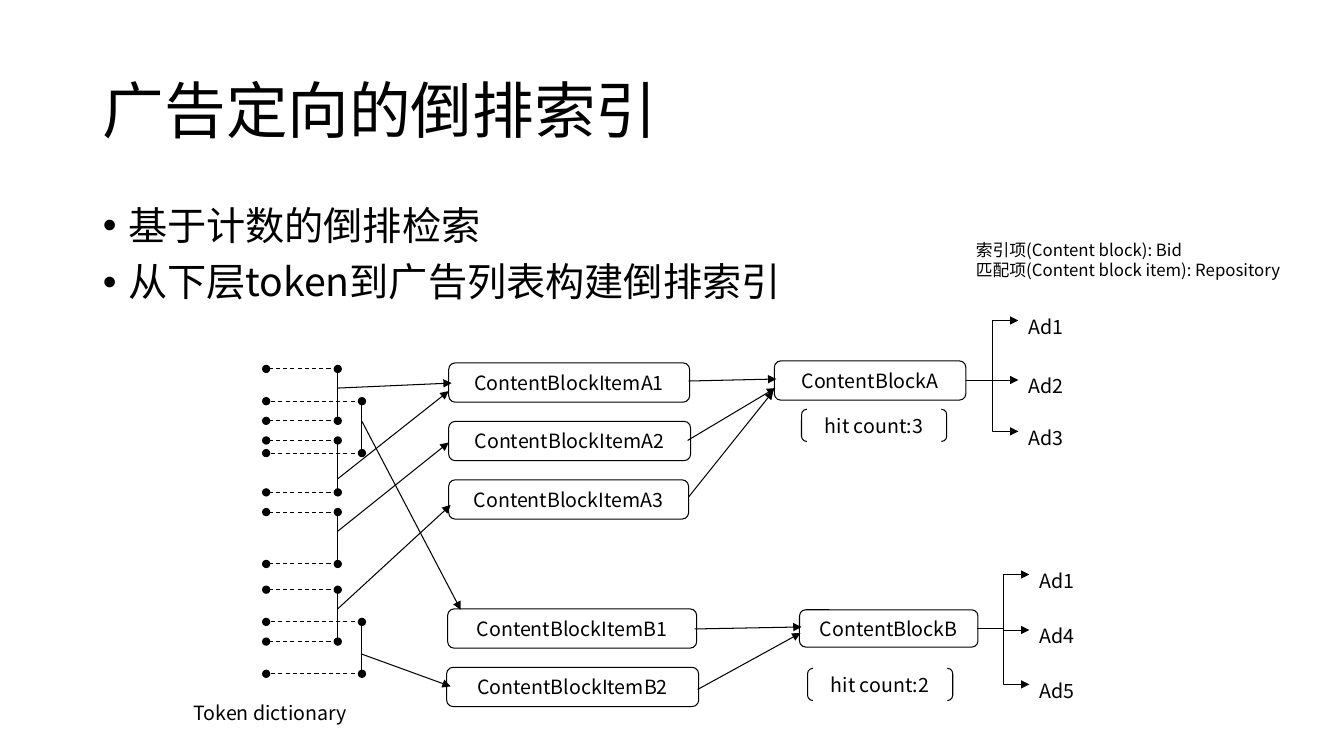
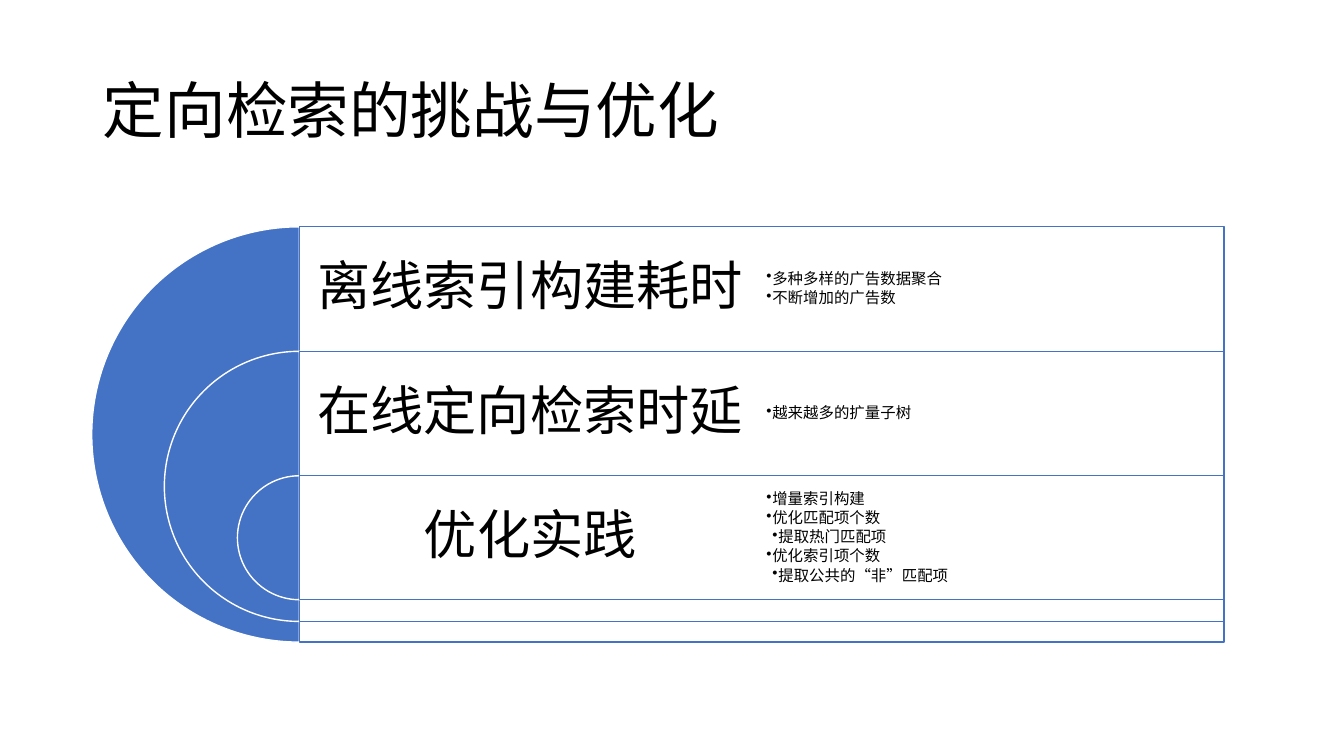
from dataclasses import dataclass
from typing import Any, Optional

from lxml.etree import SubElement
from pptx import Presentation
from pptx.dml.color import RGBColor
from pptx.enum.dml import MSO_LINE_DASH_STYLE as Dash
from pptx.enum.shapes import MSO_CONNECTOR as Connector, MSO_SHAPE as Preset
from pptx.enum.text import MSO_ANCHOR as Anchor, MSO_AUTO_SIZE as AutoSize, PP_ALIGN as Align
from pptx.oxml.ns import qn
from pptx.shapes.autoshape import Shape
from pptx.slide import Slide
from pptx.util import Inches, Pt

# Shared look
COLORS = {"ink": "000000", "paper": "FFFFFF", "accent": "4472C4"}
FONT = "Noto Sans CJK SC"
TITLE_BOX = (0.92, 0.4, 11.5, 1.45)
TITLE_ONLY, TITLE_AND_BODY = 5, 1


@dataclass(frozen=True)
class Line:
    text: str
    level: int = 0


@dataclass(frozen=True)
class TextStyle:
    size: float
    align: Align = Align.LEFT
    spacing: float = 1.0
    before: float = 0
    after: float = 0
    bullet_indent: Optional[float] = None


@dataclass(frozen=True)
class Node:
    text: str
    left: float
    top: float
    width: float
    height: float = 0.39
    preset: Preset = Preset.ROUNDED_RECTANGLE


@dataclass(frozen=True)
class TokenSpan:
    x: float
    top: float
    exit_y: float
    target: tuple[float, float]


@dataclass(frozen=True)
class AdFan:
    start: tuple[float, float]
    ads: dict[str, float]


@dataclass(frozen=True)
class Challenge:
    heading: str
    diameter: float
    details: list[Line]


TITLE = TextStyle(44, spacing=0.9)
BODY = TextStyle(28, spacing=0.9, before=10, bullet_indent=0.25)
LABEL = TextStyle(14)
NODE = TextStyle(14, Align.CENTER)
AD = TextStyle(14, spacing=1.1)
NOTE = TextStyle(12)
HEADING = TextStyle(38, Align.CENTER, 0.9)
DETAIL = TextStyle(11, spacing=0.9, after=1.8, bullet_indent=0.06)

# Index diagram
NODES = [
    Node("ContentBlockA", 7.68, 3.58, 1.9),
    Node("ContentBlockItemA1", 4.45, 3.6, 2.39),
    Node("ContentBlockItemA2", 4.45, 4.18, 2.4),
    Node("ContentBlockItemA3", 4.45, 4.76, 2.38),
    Node("hit count:3", 7.95, 4.06, 1.44, 0.32, Preset.DOUBLE_BRACKET),
    Node("ContentBlockB", 7.93, 6.05, 1.77, 0.37),
    Node("ContentBlockItemB1", 4.44, 6.04, 2.47),
    Node("ContentBlockItemB2", 4.43, 6.62, 2.5),
    Node("hit count:2", 8.01, 6.63, 1.44, 0.32, Preset.DOUBLE_BRACKET),
]
TOKEN_LEFT, TOKEN_HEIGHT = 2.64, 0.515
TOKEN_SPANS = [
    TokenSpan(3.35, 3.66, 3.85, (4.48, 3.8)),
    TokenSpan(3.35, 4.37, 4.75, (4.45, 3.88)),
    TokenSpan(3.59, 3.98, 4.18, (4.57, 6.05)),
    TokenSpan(3.35, 5.08, 5.27, (4.45, 4.39)),
    TokenSpan(3.35, 5.85, 6.04, (4.47, 5.01)),
    TokenSpan(3.59, 6.17, 6.49, (4.47, 6.81)),
]
ITEM_TO_BLOCK = [
    ((6.83, 3.78), (7.7, 3.76)),
    ((6.82, 4.37), (7.69, 3.85)),
    ((6.83, 4.93), (7.67, 3.88)),
    ((6.89, 6.24), (7.95, 6.22)),
    ((6.92, 6.84), (7.94, 6.28)),
]
AD_FANS = [
    AdFan((9.58, 3.77), {"Ad1": 3.18, "Ad2": 3.77, "Ad3": 4.28}),
    AdFan((9.69, 6.23), {"Ad1": 5.7, "Ad4": 6.25, "Ad5": 6.79}),
]
AD_REACH, AD_LABEL_RISE = 0.52, 0.13

# Nested challenges
CHALLENGES = [
    Challenge("离线索引构建耗时", 4.12, [Line("多种多样的广告数据聚合"), Line("不断增加的广告数")]),
    Challenge("在线定向检索时延", 2.68, [Line("越来越多的扩量子树")]),
    Challenge("优化实践", 1.23, [
        Line("增量索引构建"),
        Line("优化匹配项个数"),
        Line("提取热门匹配项", 1),
        Line("优化索引项个数"),
        Line("提取公共的“非”匹配项", 1),
    ]),
]
PANEL_LEFT, PANEL_TOP, PANEL_WIDTH = 2.97, 2.25, 9.17
ROW_PITCH, ROW_HEIGHT = 1.235, 1.23
COLUMN_WIDTH = 4.58


def rgb(name: str) -> RGBColor:
    return RGBColor.from_string(COLORS[name])


def apply_format(target: Any, values: dict[str, Any]) -> None:
    for name, value in values.items():
        setattr(target, name, value)


def place(shape: Any, left: float, top: float, width: float, height: float) -> None:
    box = {"left": left, "top": top, "width": width, "height": height}
    apply_format(shape, {name: Inches(value) for name, value in box.items()})


def write(shape: Any, lines: list[Line], style: TextStyle) -> None:
    """Fill a shape with one styled paragraph per line."""
    frame = shape.text_frame
    for index, line in enumerate(lines):
        paragraph = frame.paragraphs[0] if index == 0 else frame.add_paragraph()
        apply_format(paragraph, {
            "alignment": style.align,
            "line_spacing": style.spacing,
            "space_before": Pt(style.before),
            "space_after": Pt(style.after),
            "level": line.level,
        })
        if style.bullet_indent is not None:
            indent = Inches(style.bullet_indent)
            properties = paragraph._p.get_or_add_pPr()
            properties.set("marL", str(indent * (line.level + 1)))
            properties.set("indent", str(-indent))
            SubElement(properties, qn("a:buChar"), char="•")
        run = paragraph.add_run()
        run.text = line.text
        apply_format(run.font, {"name": FONT, "size": Pt(style.size)})
        run.font.color.rgb = rgb("ink")
        SubElement(run.font._element, qn("a:ea"), typeface=FONT)


def fill_placeholder(shape: Any, box: tuple[float, ...], lines: list[Line],
                     style: TextStyle, anchor: Anchor) -> None:
    place(shape, *box)
    apply_format(shape.text_frame, {"auto_size": AutoSize.NONE, "vertical_anchor": anchor})
    write(shape, lines, style)


def add_titled_slide(presentation: Any, layout: int, title: str) -> Slide:
    slide = presentation.slides.add_slide(presentation.slide_layouts[layout])
    fill_placeholder(slide.shapes.title, TITLE_BOX, [Line(title)], TITLE, Anchor.MIDDLE)
    return slide


def add_text(slide: Slide, box: tuple[float, ...], lines: list[Line], style: TextStyle,
             anchor: Anchor = Anchor.TOP, inset: Optional[float] = None) -> None:
    shape = slide.shapes.add_textbox(*map(Inches, box))
    apply_format(shape.text_frame, {"word_wrap": True, "vertical_anchor": anchor})
    if inset is not None:
        sides = ("left", "top", "right", "bottom")
        apply_format(shape.text_frame, {f"margin_{side}": Inches(inset) for side in sides})
    write(shape, lines, style)


def add_preset(slide: Slide, preset: Preset, box: tuple[float, ...], line: str,
               weight: float, fill: Optional[str] = None) -> Shape:
    shape = slide.shapes.add_shape(preset, *map(Inches, box))
    shape.shadow.inherit = False
    if fill:
        shape.fill.solid()
        shape.fill.fore_color.rgb = rgb(fill)
    else:
        shape.fill.background()
    shape.line.color.rgb = rgb(line)
    shape.line.width = Pt(weight)
    return shape


def add_line(slide: Slide, start: tuple[float, float], end: tuple[float, float],
             head: str = "none", tail: str = "none", dashed: bool = False,
             kind: Connector = Connector.STRAIGHT, weight: float = 0.75) -> None:
    connector = slide.shapes.add_connector(kind, *map(Inches, (*start, *end)))
    connector.line.color.rgb = rgb("ink")
    connector.line.width = Pt(weight)
    if dashed:
        connector.line.dash_style = Dash.DASH
    properties = connector.element.spPr
    outline = properties.find(qn("a:ln"))
    SubElement(outline, qn("a:headEnd"), type=head)
    SubElement(outline, qn("a:tailEnd"), type=tail)
    SubElement(properties, qn("a:effectLst"))


def build_index_slide(presentation: Any) -> None:
    slide = add_titled_slide(presentation, TITLE_AND_BODY, "广告定向的倒排索引")
    body = [Line("基于计数的倒排检索"), Line("从下层token到广告列表构建倒排索引")]
    fill_placeholder(slide.placeholders[1], (0.92, 2, 8.07, 1.08), body, BODY, Anchor.TOP)

    # Blocks, items and hit counts
    for node in NODES:
        box = (node.left, node.top, node.width, node.height)
        shape = add_preset(slide, node.preset, box, "ink", 0.75)
        apply_format(shape.text_frame, {"word_wrap": False, "vertical_anchor": Anchor.MIDDLE})
        write(shape, [Line(node.text)], NODE)

    # Token dictionary
    for span in TOKEN_SPANS:
        bottom = span.top + TOKEN_HEIGHT
        add_line(slide, (span.x, span.top), (span.x, bottom), head="oval", tail="oval")
        for y in (span.top, bottom):
            add_line(slide, (span.x, y), (TOKEN_LEFT, y), tail="oval", dashed=True)
        add_line(slide, (span.x, span.exit_y), span.target, tail="triangle")
    add_text(slide, (1.82, 6.9, 2.19, 0.34), [Line("Token dictionary")], LABEL)

    for start, end in ITEM_TO_BLOCK:
        add_line(slide, start, end, tail="triangle")

    # Ads of each block
    for fan in AD_FANS:
        x = fan.start[0] + AD_REACH
        for ad, y in fan.ads.items():
            add_line(slide, fan.start, (x, y), tail="triangle", kind=Connector.ELBOW, weight=0.5)
            add_text(slide, (x, y - AD_LABEL_RISE, 0.87, 0.27), [Line(ad)], AD)

    notes = [Line("索引项(Content block): Bid"), Line("匹配项(Content block item): Repository")]
    add_text(slide, (9.58, 2.33, 3.31, 0.5), notes, NOTE)


def build_challenge_slide(presentation: Any) -> None:
    slide = add_titled_slide(presentation, TITLE_ONLY, "定向检索的挑战与优化")
    for row, challenge in enumerate(CHALLENGES):
        top = PANEL_TOP + row * ROW_PITCH
        size = challenge.diameter

        # Half disc and its panel
        disc_box = (PANEL_LEFT - size / 2, top, size, size)
        disc = add_preset(slide, Preset.PIE, disc_box, "paper", 1, "accent")
        disc.adjustments[0], disc.adjustments[1] = 54, 162
        panel_box = (PANEL_LEFT, top, PANEL_WIDTH, size)
        panel = add_preset(slide, Preset.RECTANGLE, panel_box, "accent", 1, "paper")
        fill_color = panel.element.spPr.find(f"{qn('a:solidFill')}/{qn('a:srgbClr')}")
        SubElement(fill_color, qn("a:alpha"), val="90000")

        # Heading and details
        columns = [([Line(challenge.heading)], HEADING, 0.16), (challenge.details, DETAIL, 0.05)]
        for column, (lines, style, inset) in enumerate(columns):
            box = (PANEL_LEFT + column * COLUMN_WIDTH, top, COLUMN_WIDTH, ROW_HEIGHT)
            add_text(slide, box, lines, style, Anchor.MIDDLE, inset)


def main() -> None:
    presentation = Presentation()
    presentation.slide_width, presentation.slide_height = Inches(13.33), Inches(7.5)
    build_index_slide(presentation)
    build_challenge_slide(presentation)
    presentation.save("out.pptx")


if __name__ == "__main__":
    main()
